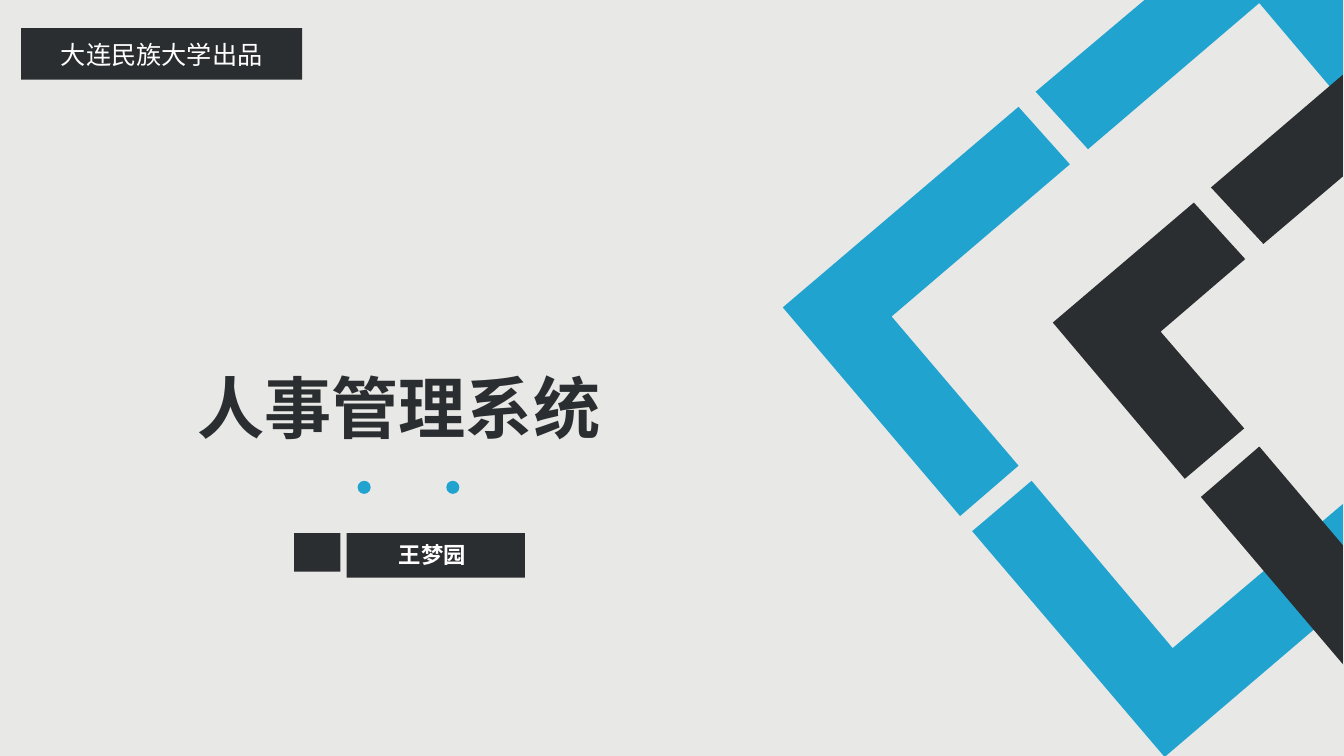
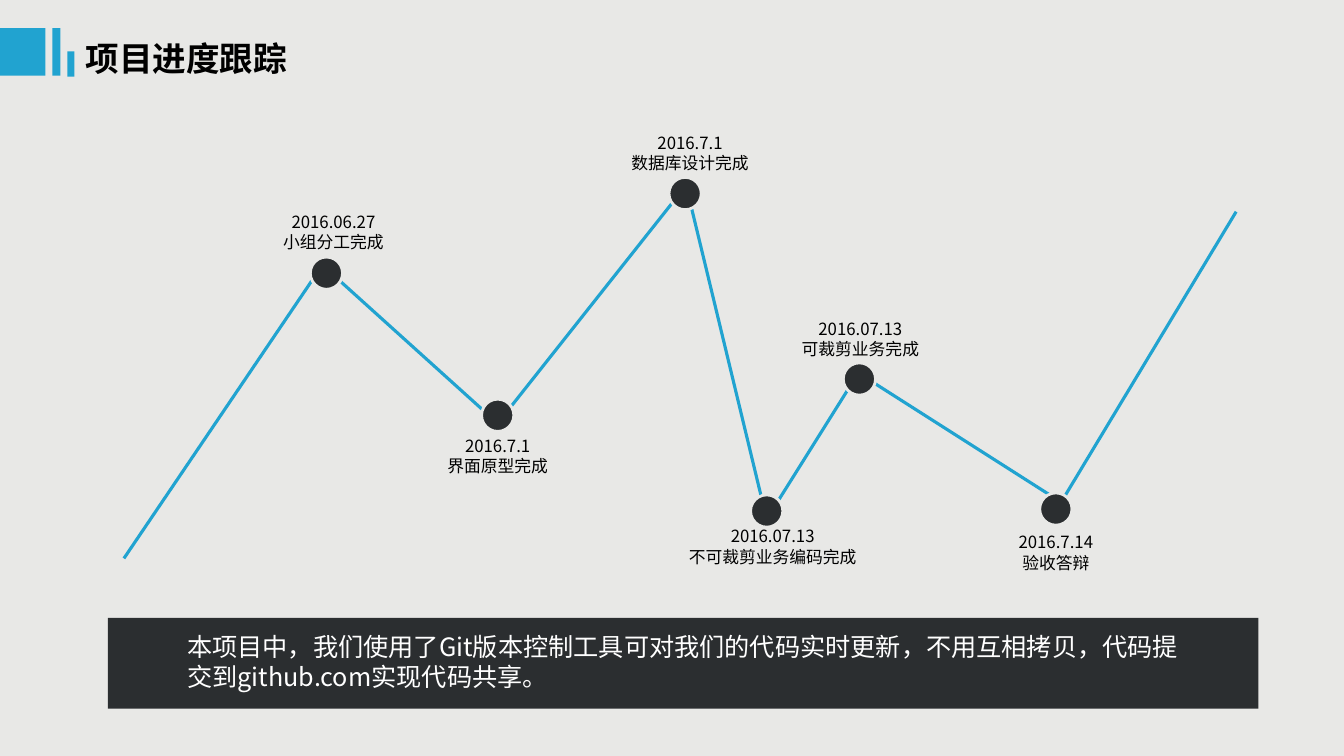
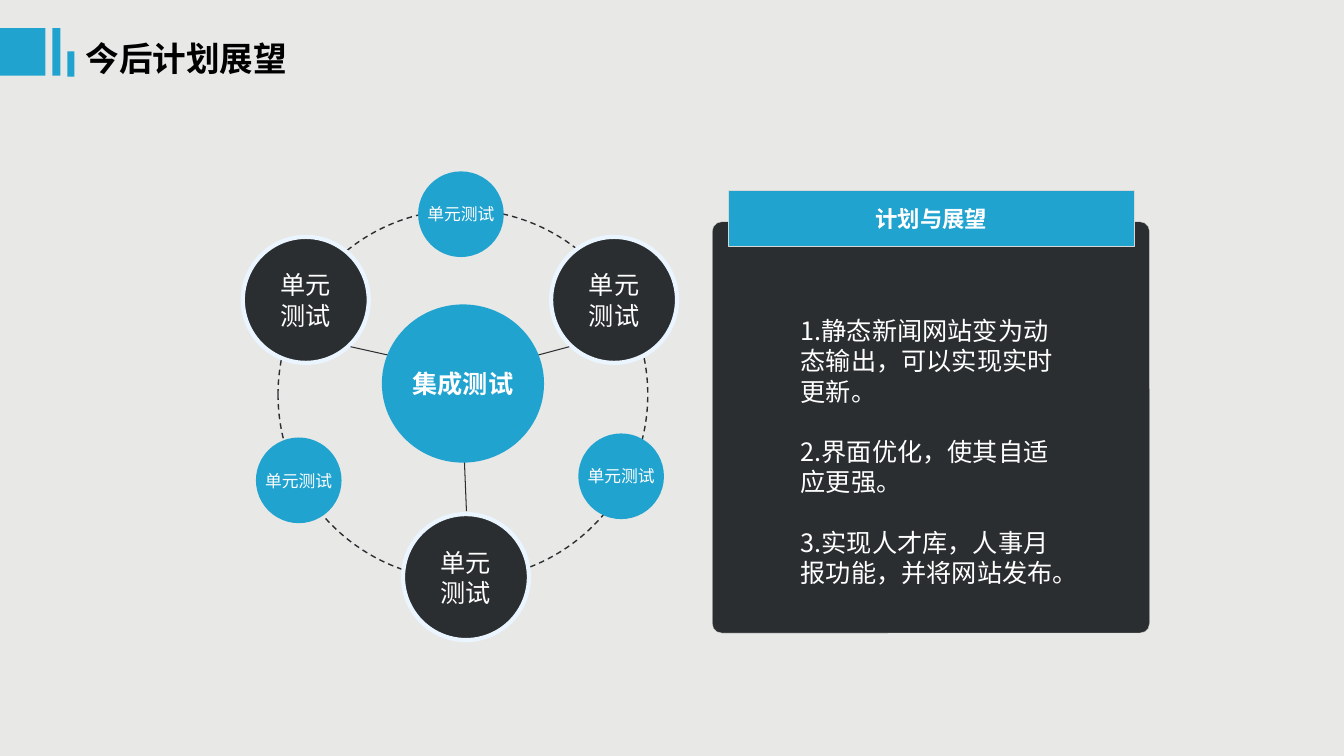
"""Build a three-slide project report on a personnel management system."""
from dataclasses import dataclass
from itertools import pairwise

from lxml import etree
from pptx import Presentation
from pptx.dml.color import RGBColor
from pptx.enum.dml import MSO_LINE
from pptx.enum.shapes import MSO_CONNECTOR, MSO_SHAPE
from pptx.enum.text import MSO_ANCHOR, PP_ALIGN
from pptx.oxml.ns import qn
from pptx.util import Inches, Pt

RECT = MSO_SHAPE.RECTANGLE
ROUND = MSO_SHAPE.ROUNDED_RECTANGLE
OVAL = MSO_SHAPE.OVAL
LINE = MSO_CONNECTOR.STRAIGHT
DASH = MSO_LINE.DASH
LEFT, MID = PP_ALIGN.LEFT, PP_ALIGN.CENTER
TOP, HALF = MSO_ANCHOR.TOP, MSO_ANCHOR.MIDDLE


@dataclass(frozen=True)
class Theme:
    paper: str = "E8E8E6"
    blue: str = "21A3D0"
    dark: str = "2B2E30"
    white: str = "FFFFFF"
    black: str = "000000"
    halo: str = "EBF5FF"
    edge: str = "D7D7D7"
    font: str = "Noto Sans CJK SC"
    plain: str = "Calibri"
    thin: str = "Arial Narrow"
    hero: int = 48
    title: int = 24
    body: int = 18
    head: int = 16
    label: int = 12
    lead: float = 1.2


class Deck:
    def __init__(self, theme):
        self.theme = theme
        self.file = Presentation()
        self.file.slide_width = Inches(13.34)
        self.file.slide_height = Inches(7.5)

    def page(self, title=None):
        t = self.theme
        self.slide = self.file.slides.add_slide(self.file.slide_layouts[6])
        fill = self.slide.background.fill
        fill.solid()
        fill.fore_color.rgb = RGBColor.from_string(t.paper)
        if title:
            for box in ((0, 0.28, 0.45, 0.47), (0.52, 0.28, 0.08, 0.47), (0.67, 0.51, 0.07, 0.25)):
                self.shape(RECT, box, t.blue)
            self.text((0.75, 0.33, 2.88, 0.5), [title], t.title, t.black, bold=True)

    def paint(self, item, fill, line=None, width=1):
        item.shadow.inherit = False
        if fill:
            item.fill.solid()
            item.fill.fore_color.rgb = RGBColor.from_string(fill)
        else:
            item.fill.background()
        if line:
            item.line.color.rgb = RGBColor.from_string(line)
            item.line.width = Pt(width)
        else:
            item.line.fill.background()

    def shape(self, kind, box, fill, line=None, width=1):
        item = self.slide.shapes.add_shape(kind, *map(Inches, box))
        self.paint(item, fill, line, width)
        return item

    def outline(self, parts, fill):
        parts = [[(Inches(x), Inches(y)) for x, y in part] for part in parts]
        pen = self.slide.shapes.build_freeform(*parts[0][0])
        for part in parts:
            pen.move_to(*part[0])
            pen.add_line_segments(part[1:], close=True)
        self.paint(pen.convert_to_shape(), fill)

    def line(self, start, end, color, width):
        item = self.slide.shapes.add_connector(LINE, *map(Inches, (*start, *end)))
        item.line.color.rgb = RGBColor.from_string(color)
        item.line.width = Pt(width)
        etree.SubElement(item._element.spPr, qn("a:effectLst"))

    def words(self, item, lines, size, color, font=None, bold=False,
              align=LEFT, anchor=TOP, wrap=True, gap=0):
        frame = item.text_frame
        frame.word_wrap = wrap
        frame.vertical_anchor = anchor
        for i, line in enumerate(lines):
            para = frame.add_paragraph() if i else frame.paragraphs[0]
            para.alignment = align
            para.line_spacing = Pt(size * self.theme.lead)
            if i and gap:
                para.space_before = Pt(gap)
            run = para.add_run()
            run.text = line
            run.font.size = Pt(size)
            run.font.bold = bold
            run.font.color.rgb = RGBColor.from_string(color)
            run.font.name = font or self.theme.font
            east = etree.SubElement(run._r.get_or_add_rPr(), qn("a:ea"))
            east.set("typeface", self.theme.font)

    def text(self, box, lines, size, color, **style):
        item = self.slide.shapes.add_textbox(*map(Inches, box))
        self.words(item, lines, size, color, **style)

    def badge(self, item, label, size, **style):
        self.words(item, [label], size, self.theme.white, align=MID, anchor=HALF, **style)


def cover(deck):
    t = deck.theme
    deck.page()
    deck.outline([
        [(10.24, 4.77), (11.64, 6.43), (13.33, 5), (13.33, 6), (11.56, 7.51), (9.65, 5.27)],
        [(10.11, 1.06), (10.62, 1.63), (8.85, 3.14), (10.11, 4.62), (9.53, 5.12), (7.77, 3.05)],
        [(11.36, 0), (13.33, 0), (13.33, 1.02), (13.21, 0.87), (12.5, 0.03), (10.8, 1.48),
         (10.28, 0.91)],
    ], t.blue)
    deck.outline([
        [(12.5, 4.43), (13.33, 5.41), (13.33, 6.59), (11.92, 4.93)],
        [(11.85, 2.01), (12.36, 2.57), (11.52, 3.29), (12.35, 4.25), (11.76, 4.75), (10.45, 3.2)],
        [(13.33, 0.74), (13.33, 1.75), (12.54, 2.42), (12.02, 1.86)],
    ], t.dark)
    deck.text((1.86, 3.59, 4.52, 0.9), ["人事管理系统"], t.hero, t.dark, bold=True)
    for x in (3.55, 4.43):
        deck.shape(OVAL, (x, 4.77, 0.13, 0.13), t.blue)
    school = deck.shape(RECT, (0.21, 0.28, 2.79, 0.51), t.dark)
    deck.badge(school, "大连民族大学出品", t.body, font=t.plain)
    deck.shape(RECT, (2.92, 5.29, 0.46, 0.38), t.dark)
    deck.shape(RECT, (3.44, 5.29, 1.77, 0.44), t.dark)
    deck.text((3.86, 5.32, 0.92, 0.37), ["王梦园"], t.head, t.white, bold=True)


def track(deck):
    t = deck.theme
    deck.page("项目进度跟踪")
    route = [(1.23, 5.54), (3.2, 2.63), (4.94, 4.2), (6.81, 1.84),
             (7.61, 5.15), (8.52, 3.7), (10.42, 4.91)]
    for start, end in [*pairwise(route), ((10.42, 5.17), (12.27, 2.1))]:
        deck.line(start, end, t.blue, 2.25)
    steps = [
        (3.08, 2.55, 2.07, 2.05, "2016.06.27", "小组分工完成"),
        (4.78, 3.96, 3.7, 4.27, "2016.7.1", "界面原型完成"),
        (6.64, 1.76, 5.61, 1.27, "2016.7.1", "数据库设计完成"),
        (7.45, 4.91, 6.43, 5.17, "2016.07.13", "不可裁剪业务编码完成"),
        (8.37, 3.6, 7.3, 3.11, "2016.07.13", "可裁剪业务完成"),
        (10.32, 4.89, 9.24, 5.23, "2016.7.14", "验收答辩"),
    ]
    for x, y, left, top, date, task in steps:
        deck.shape(OVAL, (x, y, 0.32, 0.32), t.dark, t.paper, 2)
        deck.text((left, top, 2.48, 0.5), [date, task], t.label, t.black, align=MID)
    deck.shape(RECT, (1.07, 6.13, 11.42, 0.9), t.dark)
    note = ("本项目中，我们使用了Git版本控制工具可对我们的代码实时更新，"
            "不用互相拷贝，代码提交到github.com实现代码共享。")
    deck.text((1.76, 6.21, 10.18, 0.7), [note], t.body, t.white)


def plan(deck):
    t = deck.theme
    deck.page("今后计划展望")
    panel = deck.shape(ROUND, (7.07, 2.2, 4.34, 4.08), t.dark, t.edge, 0.25)
    panel.adjustments[0] = 0.023
    ring = deck.shape(OVAL, (2.76, 2.08, 3.67, 3.67), None, t.dark)
    ring.line.dash_style = DASH
    for x, y in ((2.41, 2.35), (5.47, 2.35), (4, 5.1)):
        node = deck.shape(OVAL, (x, y, 1.25, 1.25), t.dark, t.halo, 3)
        deck.badge(node, "单元测试", t.body, font=t.thin)
    for x, y in ((4.15, 1.7), (5.74, 4.3), (2.54, 4.34)):
        node = deck.shape(OVAL, (x, y, 0.85, 0.85), t.blue)
        deck.badge(node, "单元测试", t.label, font=t.thin, wrap=False)
    for start, end in (((4.63, 5.07), (4.61, 4.58)), ((5.65, 3.44), (5.2, 3.56)),
                       ((3.48, 3.44), (4.02, 3.56))):
        deck.line(start, end, t.dark, 0.75)
    head = deck.shape(RECT, (7.23, 1.89, 4.03, 0.55), t.blue, t.edge, 0.25)
    deck.badge(head, "计划与展望", t.head, bold=True)
    hub = deck.shape(OVAL, (3.79, 3.02, 1.61, 1.57), t.blue)
    deck.badge(hub, "集成测试", t.body, font=t.thin, bold=True, wrap=False)
    goals = ["1.静态新闻网站变为动态输出，可以实现实时更新。",
             "2.界面优化，使其自适应更强。",
             "3.实现人才库，人事月报功能，并将网站发布。"]
    deck.text((7.85, 3.08, 2.78, 3.1), goals, t.body, t.white, gap=t.body * t.lead)


def main():
    deck = Deck(Theme())
    cover(deck)
    track(deck)
    plan(deck)
    deck.file.save("out.pptx")


if __name__ == "__main__":
    main()
